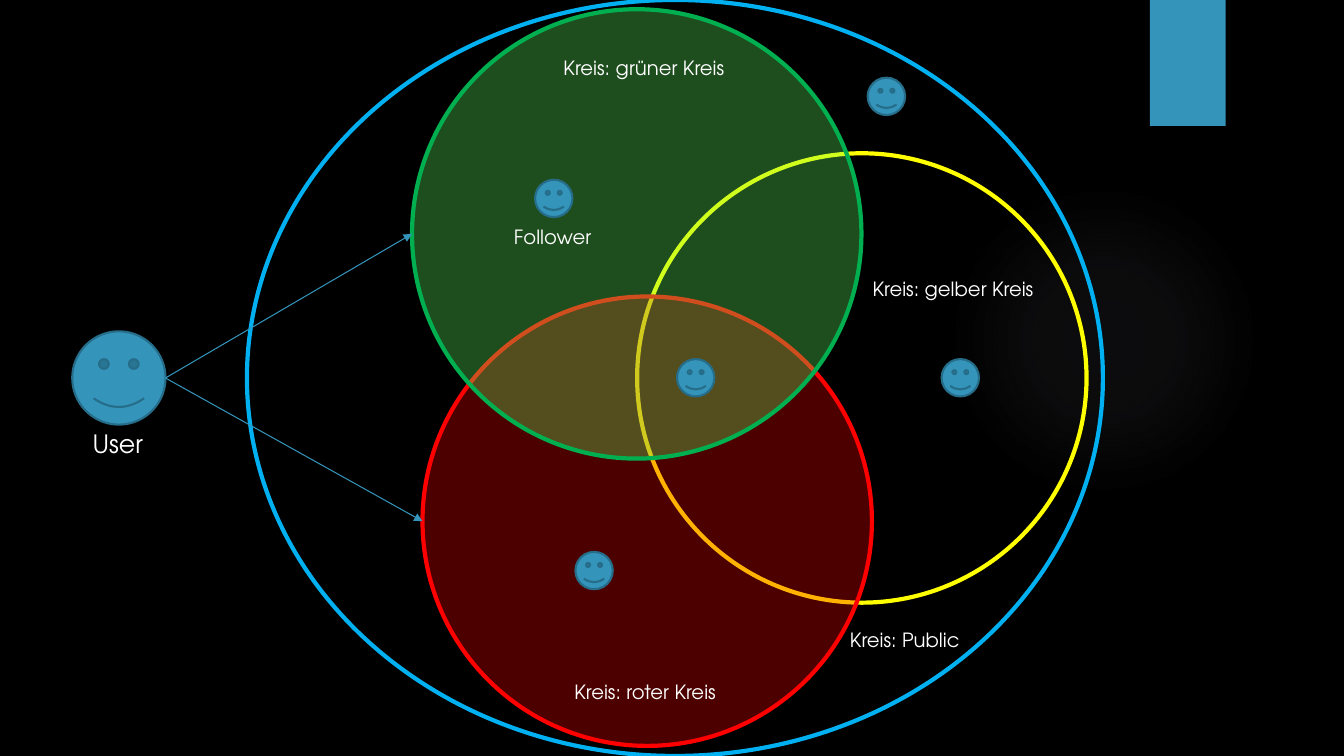
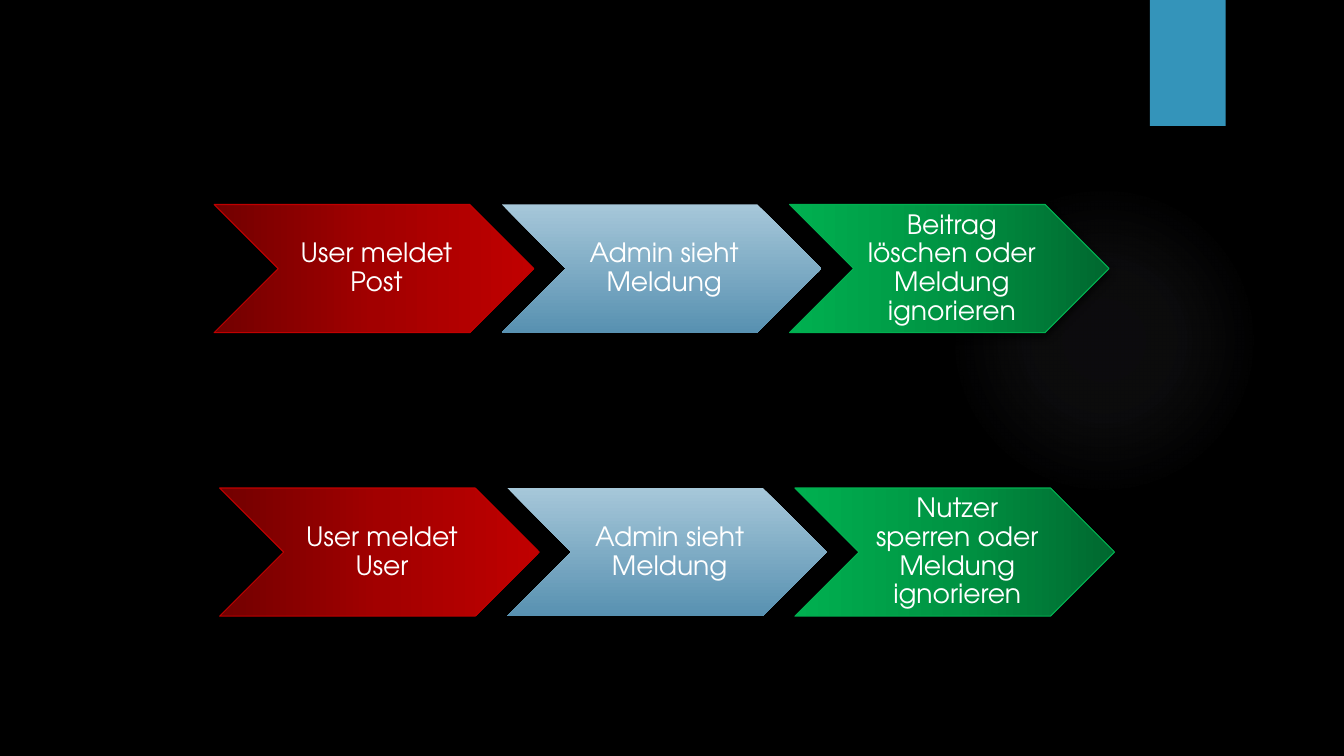
import pptx
import pptx.dml.color
import pptx.enum.shapes
import pptx.enum.text
import pptx.oxml
import pptx.oxml.ns
import pptx.util

RGBColor = pptx.dml.color.RGBColor
Shape = pptx.enum.shapes.MSO_SHAPE

BLACK = RGBColor(0x00, 0x00, 0x00)
WHITE = RGBColor(0xFF, 0xFF, 0xFF)
ACCENT = RGBColor(0x34, 0x94, 0xBA)
ACCENT_DARK = RGBColor(0x26, 0x6D, 0x8A)
GLOW = RGBColor(0xAA, 0xA7, 0xBC)
YELLOW = RGBColor(0xFF, 0xFF, 0x00)
RED = RGBColor(0xFF, 0x00, 0x00)
LIGHT_GREEN = RGBColor(0x66, 0xFF, 0x66)
GREEN = RGBColor(0x00, 0xB0, 0x50)
BLUE = RGBColor(0x00, 0xB0, 0xF0)
DARK_RED = RGBColor(0xC0, 0x00, 0x00)

RED_STOPS = [(0, RGBColor(0x72, 0x00, 0x00), 100), (50, RGBColor(0xA2, 0x00, 0x00), 100),
             (100, DARK_RED, 100)]
BLUE_STOPS = [(0, RGBColor(0xA6, 0xC7, 0xD9), 100), (100, RGBColor(0x58, 0x91, 0xB1), 100)]
GREEN_STOPS = [(0, GREEN, 100), (50, RGBColor(0x00, 0x94, 0x43), 100),
               (100, RGBColor(0x00, 0x68, 0x2F), 100)]
GLOW_STOPS = [(0, GLOW, 7), (36, GLOW, 6), (69, GLOW, 0)]
CENTRED = '<a:path path="circle"><a:fillToRect l="50000" t="50000" r="50000" b="50000"/></a:path>'

FONT = "TeX Gyre Adventor"
COLUMNS, ROWS = 160, 90
CIRCLE = 53.5
FACE = 4.45


def element(xml):
    return pptx.oxml.parse_xml(f'<a:root {pptx.oxml.ns.nsdecls("a")}>{xml}</a:root>')[0]


def colour_xml(colour, opacity):
    return f'<a:srgbClr val="{colour}"><a:alpha val="{opacity * 1000}"/></a:srgbClr>'


class Deck:
    """Holds the shared style and the current slide, measured in grid columns and rows."""

    def __init__(self):
        self.presentation = pptx.Presentation()
        self.presentation.slide_width = pptx.util.Inches(13.33)
        self.presentation.slide_height = pptx.util.Inches(7.5)
        background = self.presentation.slide_master.background.fill
        background.solid()
        background.fore_color.rgb = BLACK
        self.slide = None

    def box(self, column, row, columns, rows):
        across = self.presentation.slide_width / COLUMNS
        down = self.presentation.slide_height / ROWS
        return [pptx.util.Emu(round(value)) for value in
                (column * across, row * down, columns * across, rows * down)]

    def new_slide(self):
        self.slide = self.presentation.slides.add_slide(self.presentation.slide_layouts[6])
        glow = self.shape(Shape.OVAL, 112.9, 22, 37, 37)
        self.gradient(glow, GLOW_STOPS, CENTRED)
        band = self.shape(Shape.RECTANGLE, 136.9, 0, 9, 15, fill=ACCENT)
        self.shadow(band, opacity=45, blur=3, distance=2)

    def shape(self, kind, column, row, columns, rows, fill=None, line=None, weight=0.75, opacity=100):
        shape = self.slide.shapes.add_shape(kind, *self.box(column, row, columns, rows))
        shape.shadow.inherit = False
        if fill is None:
            shape.fill.background()
        else:
            shape.fill.solid()
            shape.fill.fore_color.rgb = fill
            if opacity < 100:
                colour = shape._element.spPr.find(".//" + pptx.oxml.ns.qn("a:srgbClr"))
                colour.append(element(f'<a:alpha val="{opacity * 1000}"/>'))
        if line is None:
            shape.line.fill.background()
        else:
            shape.line.color.rgb = line
            shape.line.width = pptx.util.Pt(weight)
        return shape

    def gradient(self, shape, stops, direction):
        stop_xml = "".join(f'<a:gs pos="{position * 1000}">{colour_xml(colour, opacity)}</a:gs>'
                           for position, colour, opacity in stops)
        properties = shape._element.spPr
        properties.replace(properties.find(pptx.oxml.ns.qn("a:noFill")),
                           element(f"<a:gradFill><a:gsLst>{stop_xml}</a:gsLst>{direction}</a:gradFill>"))

    def shadow(self, shape, opacity, blur, distance):
        effects = shape._element.spPr.find(pptx.oxml.ns.qn("a:effectLst"))
        effects.append(element(
            f'<a:outerShdw blurRad="{pptx.util.Pt(blur)}" dist="{pptx.util.Pt(distance)}" '
            f'dir="5400000">{colour_xml(BLACK, opacity)}</a:outerShdw>'))

    def face(self, column, row, size=FACE):
        return self.shape(Shape.SMILEY_FACE, column, row, size, size, ACCENT, ACCENT_DARK, 1.5)

    def circle(self, column, row, line, fill=None, columns=CIRCLE, rows=CIRCLE):
        return self.shape(Shape.OVAL, column, row, columns, rows, fill, line, 3, 30)

    def arrow(self, source, target):
        connector = self.slide.shapes.add_connector(
            pptx.enum.shapes.MSO_CONNECTOR.STRAIGHT,
            source.left + source.width, source.top + source.height // 2,
            target.left, target.top + target.height // 2)
        connector.line.color.rgb = ACCENT
        connector.line.width = pptx.util.Pt(0.75)
        properties = connector._element.spPr
        properties.find(pptx.oxml.ns.qn("a:ln")).append(element('<a:tailEnd type="triangle"/>'))
        properties.append(element("<a:effectLst/>"))

    def set_text(self, text_frame, text, size):
        text_frame.text = text
        paragraph = text_frame.paragraphs[0]
        for run in paragraph.runs:
            run.font.name = FONT
            run.font.size = pptx.util.Pt(size)
            run.font.color.rgb = WHITE
        return paragraph

    def label(self, text, column, row, columns, size=14):
        rows = 4.8 if size > 14 else 4.1
        text_frame = self.slide.shapes.add_textbox(*self.box(column, row, columns, rows)).text_frame
        text_frame.word_wrap = False
        text_frame.auto_size = pptx.enum.text.MSO_AUTO_SIZE.SHAPE_TO_FIT_TEXT
        self.set_text(text_frame, text, size)

    def chevron(self, text, column, row, columns, rows, stops, angle, line):
        chevron = self.shape(Shape.CHEVRON, column, row, columns, rows, line=line)
        self.gradient(chevron, stops, f'<a:lin ang="{angle * 60000}" scaled="0"/>')
        self.shadow(chevron, opacity=60, blur=5, distance=3)
        text_frame = chevron.text_frame
        text_frame.word_wrap = True
        text_frame.vertical_anchor = pptx.enum.text.MSO_ANCHOR.MIDDLE
        text_frame.margin_left = pptx.util.Inches(0.08)
        text_frame.margin_top = text_frame.margin_right = text_frame.margin_bottom = pptx.util.Inches(0.03)
        paragraph = self.set_text(text_frame, text, 19)
        paragraph.alignment = pptx.enum.text.PP_ALIGN.CENTER
        paragraph.line_spacing = 0.9

    def process(self, column, row, texts, columns=38.05, rows=15.25):
        styles = [(RED_STOPS, 0, DARK_RED), (BLUE_STOPS, 90, None), (GREEN_STOPS, 0, GREEN)]
        for index, (text, style) in enumerate(zip(texts, styles)):
            self.chevron(text, column + index * 0.9 * columns, row, columns, rows, *style)


def circles_slide(deck):
    deck.new_slide()
    user = deck.face(8.6, 39.45, 11.1)
    deck.circle(75.85, 18.25, YELLOW)
    red_circle = deck.circle(50.3, 35.3, RED, RED)
    green_circle = deck.circle(49.05, 1.1, GREEN, LIGHT_GREEN)
    deck.circle(29.4, 0, BLUE, columns=101.9, rows=ROWS)
    for column, row in [(103.3, 9.25), (63.7, 21.4), (80.6, 42.75), (112.1, 42.75), (68.5, 65.7)]:
        deck.face(column, row)
    for target in (green_circle, red_circle):
        deck.arrow(user, target)
    deck.label("User", 9.85, 50.4, 8.5, 18)
    for text, column, row, columns in [
            ("Follower", 60, 26.2, 11.8),
            ("Kreis: Public", 100, 74.15, 15.6),
            ("Kreis: roter Kreis", 67.2, 80.4, 19.7),
            ("Kreis: gelber Kreis", 102.7, 32.4, 21.8),
            ("Kreis: grüner Kreis", 65.9, 6.1, 21.8)]:
        deck.label(text, column, row, columns)


def reports_slide(deck):
    deck.new_slide()
    deck.process(25.5, 24.35, ["User meldet Post", "Admin sieht Meldung",
                               "Beitrag löschen oder Meldung ignorieren"])
    deck.process(26.15, 58.1, ["User meldet User", "Admin sieht Meldung",
                               "Nutzer sperren oder Meldung ignorieren"])


def main():
    deck = Deck()
    circles_slide(deck)
    reports_slide(deck)
    deck.presentation.save("out.pptx")


if __name__ == "__main__":
    main()
